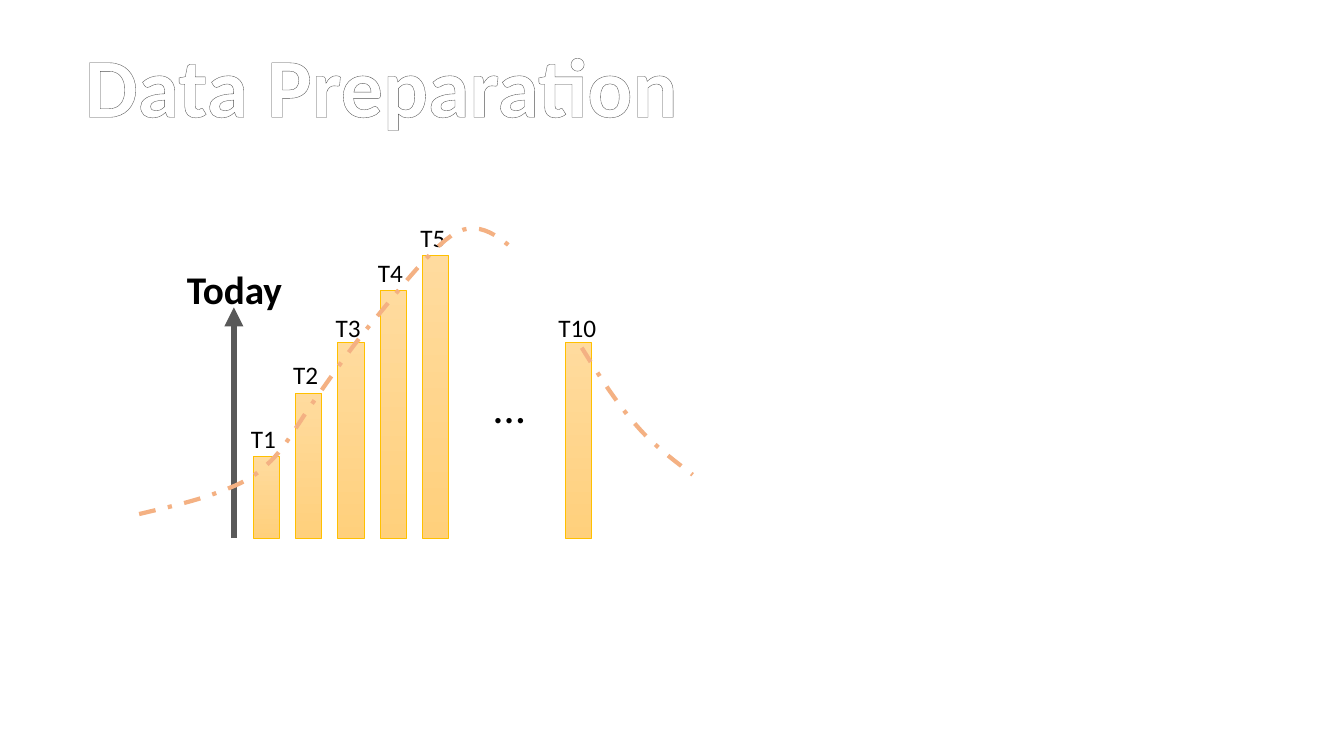
from lxml.etree import SubElement
from pptx import Presentation
from pptx.dml.color import RGBColor
from pptx.enum.dml import MSO_LINE
from pptx.enum.shapes import MSO_CONNECTOR, MSO_SHAPE
from pptx.enum.text import MSO_ANCHOR, PP_ALIGN
from pptx.oxml import parse_xml
from pptx.oxml.ns import nsdecls, qn
from pptx.util import Inches, Pt

COLORS = {
    "title": "FFFFFF",
    "title_edge": "525252",
    "text": "000000",
    "axis": "595959",
    "bar_top": "FFDB9E",
    "bar_bottom": "FFD07C",
    "bar_edge": "FFC000",
    "trend": "F4B183",
}
COLORS = {part: RGBColor.from_string(value) for part, value in COLORS.items()}


def grid(*cells):
    return [Inches(cell / 10) for cell in cells]


def write(frame, text, size=18, color="text", bold=False, align=PP_ALIGN.LEFT, wrap=True):
    frame.word_wrap = wrap
    frame.vertical_anchor = MSO_ANCHOR.TOP
    paragraph = frame.paragraphs[0]
    paragraph.alignment = align
    run = paragraph.add_run()
    run.text = text
    run.font.name = "Calibri"
    run.font.size = Pt(size)
    run.font.bold = bold
    run.font.color.rgb = COLORS[color]
    return run


prs = Presentation()
prs.slide_width, prs.slide_height = Inches(13.33), Inches(7.5)
slide = prs.slides.add_slide(prs.slide_layouts[5])
shapes = slide.shapes

heading = shapes.title
heading.left, heading.top, heading.width, heading.height = grid(7.4, 2.8, 61.5, 11.1)
heading_run = write(heading.text_frame, "Data Preparation", size=60, color="title", bold=True, wrap=False)
heading_run.font.fill._xPr.insert(0, parse_xml(
    f'<a:ln {nsdecls("a")} w="12700"><a:solidFill>'
    f'<a:srgbClr val="{COLORS["title_edge"]}"/></a:solidFill></a:ln>'
))

baseline = 53.4
today_axis = shapes.add_connector(MSO_CONNECTOR.STRAIGHT, *grid(23.2, baseline, 23.2, 30.5))
today_axis.line.color.rgb = COLORS["axis"]
today_axis.line.width = Pt(4.5)
SubElement(today_axis.line._get_or_add_ln(), qn("a:tailEnd"), type="triangle")
SubElement(today_axis._element.spPr, qn("a:effectLst"))
today = shapes.add_textbox(*grid(16.6, 25.8, 13.3, 6.2))
write(today.text_frame, "Today", size=28, bold=True, align=PP_ALIGN.CENTER)

first_bar, bar_step, bar_width = 25.1, 4.2, 2.6
bar_tops = {1: 45.3, 2: 39, 3: 34, 4: 28.8, 5: 25.3, 10: 34}
label_tops = {1: 41.5, 2: 35.2, 3: 30.5, 4: 25, 5: 21.6, 10: 30.5}
for day, top in bar_tops.items():
    left = 56.1 if day == 10 else first_bar + (day - 1) * bar_step
    bar = shapes.add_shape(MSO_SHAPE.RECTANGLE, *grid(left, top, bar_width, baseline - top))
    bar.shadow.inherit = False
    bar.fill.gradient()
    bar.fill.gradient_angle = 270
    for stop, part in zip(bar.fill.gradient_stops, ("bar_top", "bar_bottom")):
        stop.color.rgb = COLORS[part]
    bar.line.color.rgb = COLORS["bar_edge"]
    bar.line.width = Pt(0.5)
    label_width = 6 if day == 10 else 5
    label_left = left + (bar_width - label_width) / 2
    day_label = shapes.add_textbox(*grid(label_left, label_tops[day], label_width, 4))
    write(day_label.text_frame, f"T{day}")

skipped_days = shapes.add_textbox(*grid(48, 37.1, 5.1, 6.4))
write(skipped_days.text_frame, "…", size=32, wrap=False)

rising_trend = [
    (13.8, 51), (16.8, 50.3), (19.8, 49.6), (22, 48.7),
    (24.2, 47.9), (25.4, 47.2), (26.9, 45.7),
    (28.4, 44.2), (29.5, 42.1), (31.2, 39.7),
    (32.9, 37.3), (35, 34.2), (37.4, 31.4),
    (39.7, 28.6), (43.2, 24.1), (45.4, 23),
    (47.7, 21.9), (49.7, 23.7), (51, 24.8),
]
falling_trend = [
    (57.7, 34.5), (59.5, 37.4), (61.3, 40.2), (63.2, 42.3),
    (65, 44.4), (67.7, 46.3), (68.7, 47.1),
]
smoothness = 12
for trend in (rising_trend, falling_trend):
    points = []
    for start in range(0, len(trend) - 1, 3):
        for step in range(1, smoothness + 1):
            t = step / smoothness
            weights = ((1 - t) ** 3, 3 * t * (1 - t) ** 2, 3 * t * t * (1 - t), t ** 3)
            points.append(grid(*(
                sum(weight * knot[axis] for weight, knot in zip(weights, trend[start:start + 4]))
                for axis in (0, 1)
            )))
    builder = shapes.build_freeform(*grid(*trend[0]))
    builder.add_line_segments(points, close=False)
    curve = builder.convert_to_shape()
    curve.shadow.inherit = False
    curve.fill.background()
    curve.line.color.rgb = COLORS["trend"]
    curve.line.width = Pt(3)
    curve.line.dash_style = MSO_LINE.DASH_DOT

prs.save("out.pptx")
